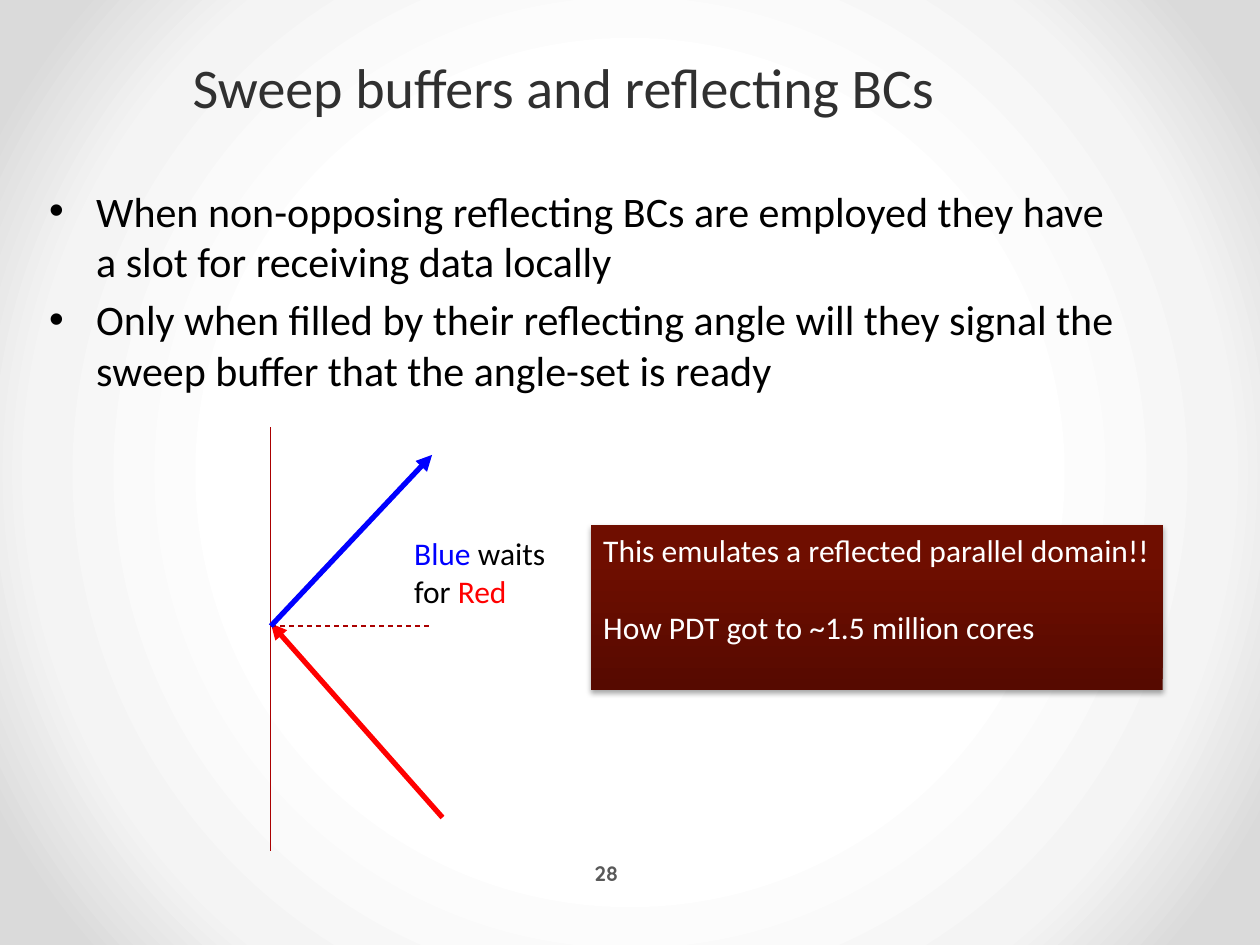
"""Build the slide on sweep buffers and reflecting boundary conditions."""
from lxml.etree import SubElement
from pptx import Presentation
from pptx.dml.color import RGBColor
from pptx.enum.dml import MSO_LINE
from pptx.enum.shapes import MSO_CONNECTOR, MSO_SHAPE
from pptx.enum.text import MSO_ANCHOR, PP_ALIGN
from pptx.oxml import parse_xml
from pptx.oxml.ns import nsdecls, qn
from pptx.util import Cm, Pt


def color(value):
    return RGBColor.from_string(value)


def gradient_xml(stops, direction):
    stop_xml = "".join(
        f'<a:gs pos="{position * 1000}"><a:srgbClr val="{value}"/></a:gs>'
        for position, value in stops
    )
    return (f'<a:gradFill {nsdecls("a")} rotWithShape="1">'
            f'<a:gsLst>{stop_xml}</a:gsLst>{direction}</a:gradFill>')


presentation = Presentation()
presentation.slide_width = Cm(25.4)
presentation.slide_height = Cm(19.05)
slide = presentation.slides.add_slide(presentation.slide_layouts[6])

background_fill = gradient_xml(
    [(50, "FFFFFF"), (76, "F4F4F4"), (92, "DADADA")],
    '<a:path path="circle"><a:fillToRect l="50000" t="50000" r="50000" b="50000"/></a:path>',
)
slide.element.cSld.insert(0, parse_xml(
    f'<p:bg {nsdecls("p", "a")}><p:bgPr>{background_fill}<a:effectLst/></p:bgPr></p:bg>'))

title = slide.shapes.add_textbox(Cm(0.71), Cm(0), Cm(21.31), Cm(2.54))
title.text_frame.word_wrap = True
title.text_frame.vertical_anchor = MSO_ANCHOR.BOTTOM
paragraph = title.text_frame.paragraphs[0]
paragraph.text = "Sweep buffers and reflecting BCs"
paragraph.alignment = PP_ALIGN.CENTER
paragraph.line_spacing = Pt(58)
paragraph.font.name = "Calibri"
paragraph.font.size = Pt(32)
paragraph.font.color.rgb = color("303030")

body = slide.shapes.add_textbox(Cm(0.74), Cm(3.61), Cm(22.33), Cm(13.97))
body.text_frame.word_wrap = True
body.text_frame.text = (
    "When non-opposing reflecting BCs are employed they have a slot for receiving data locally\n"
    "Only when filled by their reflecting angle will they signal the sweep buffer "
    "that the angle-set is ready"
)
for index, paragraph in enumerate(body.text_frame.paragraphs):
    properties = paragraph._p.get_or_add_pPr()
    properties.set("marL", str(Cm(0.95)))
    properties.set("indent", str(Cm(-0.95)))
    SubElement(properties, qn("a:buFont"), typeface="Arial")
    SubElement(properties, qn("a:buChar"), char="•")
    paragraph.space_before = Pt(4.5 * index)
    paragraph.font.name = "Calibri"
    paragraph.font.size = Pt(24)
    paragraph.font.color.rgb = color("000000")

slide_number = slide.shapes.add_textbox(Cm(11.91), Cm(17.15), Cm(1.55), Cm(0.91))
slide_number.text_frame.word_wrap = True
slide_number.text_frame.margin_left = Cm(0.08)
slide_number.text_frame.vertical_anchor = MSO_ANCHOR.MIDDLE
paragraph = slide_number.text_frame.paragraphs[0]
paragraph.text = "28"
paragraph.font.name = "Quicksand"
paragraph.font.size = Pt(12)
paragraph.font.bold = True
paragraph.font.color.rgb = color("595959")

wall_x, normal_y = 5.46, 12.62
lines = [
    (wall_x, 8.61, wall_x, 17.15, "AA0000", 0.75, None, False),
    (8.92, 16.48, wall_x, 12.57, "FF0000", 3, None, True),
    (wall_x, normal_y, 8.71, normal_y, "AA0000", 0.75, MSO_LINE.DASH, False),
    (wall_x, normal_y, 8.71, 9.17, "0000FF", 3, None, True),
]
for start_x, start_y, end_x, end_y, line_color, width, dash, arrow in lines:
    connector = slide.shapes.add_connector(
        MSO_CONNECTOR.STRAIGHT, Cm(start_x), Cm(start_y), Cm(end_x), Cm(end_y))
    connector.line.color.rgb = color(line_color)
    connector.line.width = Pt(width)
    if dash:
        connector.line.dash_style = dash
    if arrow:
        SubElement(connector.line._get_or_add_ln(), qn("a:tailEnd"), type="triangle")
    SubElement(connector._element.spPr, qn("a:effectLst"))

label = slide.shapes.add_textbox(Cm(8.1), Cm(10.64), Cm(3.33), Cm(1.8))
label.text_frame.word_wrap = False
label_lines = [
    [("Blue", "0000FF"), (" waits", "000000")],
    [("for ", "000000"), ("Red", "FF0000")],
]
label.text_frame.add_paragraph()
for paragraph, parts in zip(label.text_frame.paragraphs, label_lines):
    paragraph.font.name = "Calibri"
    paragraph.font.size = Pt(18)
    for text, text_color in parts:
        run = paragraph.add_run()
        run.text = text
        run.font.color.rgb = color(text_color)

callout = slide.shapes.add_shape(
    MSO_SHAPE.RECTANGLE, Cm(11.91), Cm(10.59), Cm(11.53), Cm(3.33))
callout.line.fill.background()
callout.shadow.inherit = False
callout_properties = callout._element.spPr
callout_properties.find(qn("a:prstGeom")).addnext(parse_xml(gradient_xml(
    [(0, "560A00"), (80, "6F0E00"), (100, "700E00")],
    '<a:lin ang="16200000" scaled="0"/>',
)))
shadow = SubElement(
    callout_properties.find(qn("a:effectLst")), qn("a:outerShdw"),
    blurRad=str(Pt(3.1)), dist=str(Pt(1.8)), dir="5400000", rotWithShape="0")
shadow_color = SubElement(shadow, qn("a:srgbClr"), val="000000")
SubElement(shadow_color, qn("a:alpha"), val="35000")
callout.text_frame.word_wrap = True
callout.text_frame.vertical_anchor = MSO_ANCHOR.TOP
callout.text_frame.text = (
    "This emulates a reflected parallel domain!!\nHow PDT got to ~1.5 million cores")
for index, paragraph in enumerate(callout.text_frame.paragraphs):
    paragraph.alignment = PP_ALIGN.LEFT
    paragraph.space_before = Pt(22 * index)
    paragraph.font.name = "Calibri"
    paragraph.font.size = Pt(18)
    paragraph.font.color.rgb = color("FFFFFF")

presentation.save("out.pptx")
